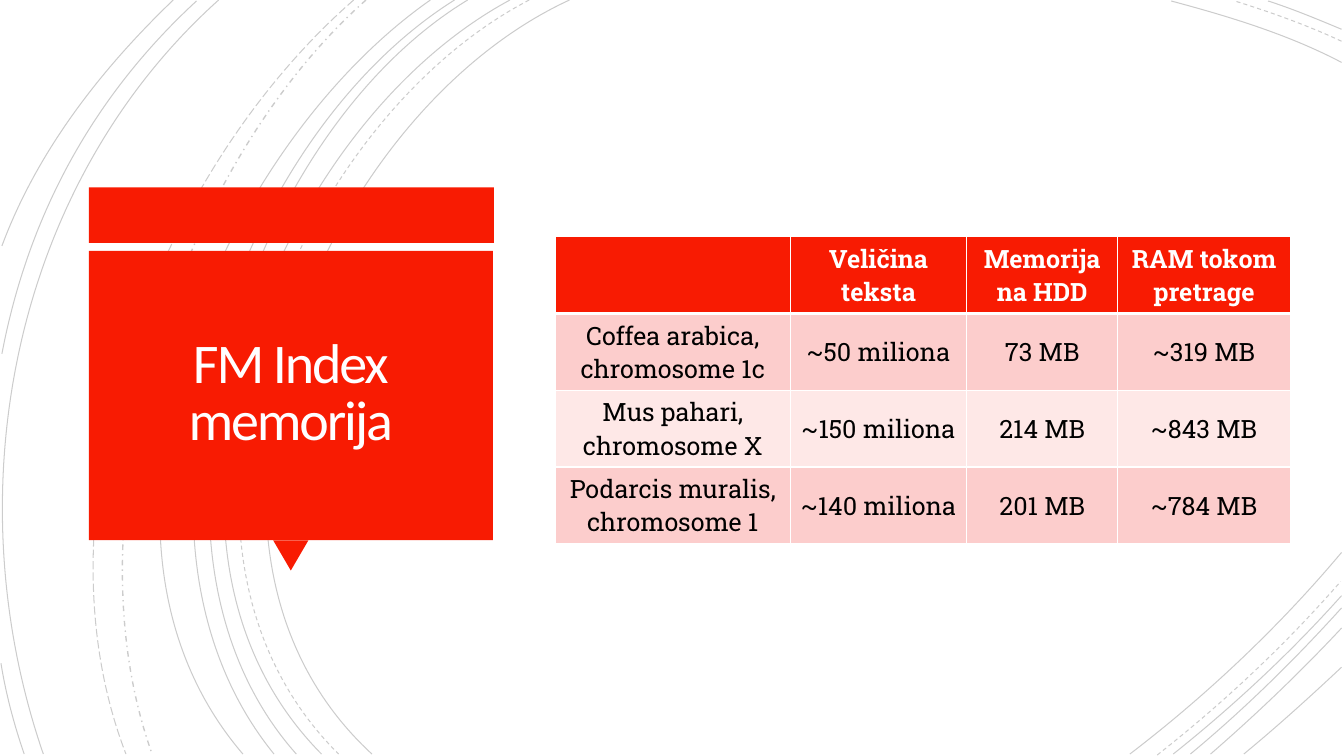
import copy
import dataclasses

import pptx
import pptx.dml.color
import pptx.enum.shapes
import pptx.enum.text
import pptx.oxml
import pptx.oxml.ns
import pptx.util

Pt = pptx.util.Pt
Shape = pptx.enum.shapes.MSO_SHAPE
Anchor = pptx.enum.text.MSO_ANCHOR
qn = pptx.oxml.ns.qn

RED, PINK, PALE = "F81B02", "FCCDCC", "FEE8E7"
WHITE, BLACK = "FFFFFF", "000000"


@dataclasses.dataclass
class Curve:
    """Cubic arc: start, two control points and end, in points."""
    pts: tuple
    dash: str = "solid"
    width: float = 0.75


@dataclasses.dataclass
class Block:
    kind: int
    left: float
    top: float
    width: float
    height: float
    turn: float = 0


CURVES = [
    Curve(((406.8, 0), (226.8, 82.8), (103, 388.8), (265.7, 538.6))),
    Curve(((958.3, 44.6), (920.2, 24.5), (877, 11.5), (836.6, 0.7))),
    Curve(((807.1, 538.6), (861.8, 496.8), (913.7, 447.8), (958.3, 394.6))),
    Curve(((378, 0), (205.2, 90), (88.6, 386.6), (241.9, 538.6)), "dash"),
    Curve(((958.3, 29.5), (933.8, 18), (907.2, 8.6), (882, 0.7)), "dash"),
    Curve(((826.6, 539.3), (873.4, 502.6), (918, 460.8), (957.6, 415.4)), "dash"),
    Curve(((364.3, 0), (194.4, 91.4), (79.2, 386.6), (229.7, 538.6))),
    Curve(((958.3, 20.9), (941, 13.7), (923.8, 6.5), (905.8, 0.7))),
    Curve(((838.1, 538.6), (880.6, 504.7), (921.6, 466.6), (958.3, 425.5))),
    Curve(((334.1, 0), (175.7, 95.8), (79.2, 389.5), (211.7, 538.6))),
    Curve(((850.3, 538.6), (888.5, 506.9), (924.5, 471.6), (958.3, 434.2))),
    Curve(((324.7, 0), (166.3, 99.4), (69.8, 383.8), (195.8, 538.6))),
    Curve(((864.7, 538.6), (897.1, 510.5), (928.8, 480.2), (958.3, 448.6))),
    Curve(((307.4, 0), (156.2, 105.8), (38.2, 380.9), (173.5, 538.6))),
    Curve(((888.5, 538.6), (912.2, 519.1), (935.3, 498.2), (958.3, 476.6))),
    Curve(((261.4, 0), (126.7, 119.5), (46.8, 366.5), (108.7, 538.6)), "dashDot", 1),
    Curve(((252.7, 0), (113, 121.7), (20.9, 359.3), (90, 538.6)), "lgDash"),
    Curve(((156.2, 0), (7.9, 133.2), (-33.1, 352.8), (31, 538.6))),
    Curve(((140.4, 0.7), (66.2, 69.1), (20.2, 154.1), (1.4, 252.7))),
    Curve(((0.7, 473.8), (4.3, 496.1), (10.1, 517.7), (17.3, 538.6))),
    Curve(((123.8, 0), (72, 49.7), (26.6, 108), (1.4, 175.7))),
]

BLOCKS = [
    Block(Shape.RECTANGLE, 63.4, 133.9, 289.4, 39.6),
    Block(Shape.ISOSCELES_TRIANGLE, 195.1, 385.9, 25.2, 21.6, 180),
    Block(Shape.RECTANGLE, 63.4, 179.3, 288.7, 206.6),
]

COLS = (167.8, 126, 108, 123.1)
ROWS = [
    ("", "Veličina teksta", "Memorija na HDD", "RAM tokom pretrage"),
    ("Coffea arabica, chromosome 1c", "~50 miliona", "73 MB", "~319 MB"),
    ("Mus pahari, chromosome X", "~150 miliona", "214 MB", "~843 MB"),
    ("Podarcis muralis, chromosome 1", "~140 miliona", "201 MB", "~784 MB"),
]
ROW_H = 50.4


def paint(color, value: str) -> None:
    """Set a fill or font colour format from a hex string."""
    color.rgb = pptx.dml.color.RGBColor.from_string(value)


def write(frame, text: str, *, size: float, face: str, color: str,
          bold: bool = False, lead: float = 1.0, track: int = 0) -> None:
    """Fill a text frame with one centred paragraph; track is in 1/100 pt."""
    par = frame.paragraphs[0]
    par.text = text
    par.alignment = pptx.enum.text.PP_ALIGN.CENTER
    par.line_spacing = lead
    for run in par.runs:
        font = run.font
        font.size, font.name, font.bold = Pt(size), face, bold
        paint(font.color, color)
        props = run.font._element
        if track:
            props.set("spc", str(track))
        for gap in par._p.findall(qn("a:br")):
            if not len(gap):
                gap.append(copy.deepcopy(props))


def trace(shapes, curve: Curve) -> None:
    """Draw a cubic arc as a fine open outline."""
    start, *rest = [(Pt(x), Pt(y)) for x, y in curve.pts]
    pen = shapes.build_freeform(*start)
    pen.add_line_segments(rest, close=False)
    arc = pen.convert_to_shape()
    route = arc.element.find(".//" + qn("a:path"))
    bend = route.makeelement(qn("a:cubicBezTo"), {})
    for leg in route.findall(qn("a:lnTo")):
        bend.append(leg[0])
        route.remove(leg)
    route.append(bend)
    arc.shadow.inherit = False
    arc.fill.background()
    arc.line.width = Pt(curve.width)
    paint(arc.line.color, BLACK)
    line = arc.line._ln
    tint = line.find(".//" + qn("a:srgbClr"))
    tint.append(tint.makeelement(qn("a:alpha"), {"val": "20000"}))
    line.append(line.makeelement(qn("a:prstDash"), {"val": curve.dash}))


def place(shapes, block: Block) -> None:
    """Add a plain red preset shape."""
    box = shapes.add_shape(block.kind, Pt(block.left), Pt(block.top),
                           Pt(block.width), Pt(block.height))
    box.rotation = block.turn
    box.shadow.inherit = False
    box.fill.solid()
    paint(box.fill.fore_color, RED)
    box.line.fill.background()


def edge(cell, side: str, width: float) -> None:
    """Add a white cell border; sides must come in the order L, R, T, B."""
    cell._tc.get_or_add_tcPr().append(pptx.oxml.parse_xml(
        f'<a:ln{side} xmlns:a="http://schemas.openxmlformats.org/drawingml/2006/main"'
        f' w="{Pt(width)}"><a:solidFill><a:srgbClr val="{WHITE}"/></a:solidFill>'
        f'</a:ln{side}>'))


def tabulate(shapes) -> None:
    grid = shapes.add_table(len(ROWS), len(COLS), Pt(396.7), Pt(169.2),
                            Pt(sum(COLS)), Pt(ROW_H * len(ROWS))).table
    for col, width in zip(grid.columns, COLS):
        col.width = Pt(width)
    for r, row in enumerate(ROWS):
        grid.rows[r].height = Pt(ROW_H)
        head = r == 0
        for c, text in enumerate(row):
            cell = grid.cell(r, c)
            cell.vertical_anchor = Anchor.MIDDLE
            for side in "LRTB":
                thick = (head and side == "B") or (r == 1 and side == "T")
                edge(cell, side, 3 if thick else 1)
            cell.fill.solid()
            paint(cell.fill.fore_color, RED if head else PINK if r % 2 else PALE)
            if text:
                write(cell.text_frame, text, size=18, face="Roboto Slab",
                      color=WHITE if head else BLACK, bold=head)


def entitle(shapes) -> None:
    """Set the title and bring it in front of the red blocks."""
    title = shapes.title
    title.left, title.top = Pt(69.8), Pt(185)
    title.width, title.height = Pt(275.8), Pt(193.7)
    frame = title.text_frame
    frame.word_wrap = True
    frame.auto_size = pptx.enum.text.MSO_AUTO_SIZE.NONE
    frame.vertical_anchor = Anchor.MIDDLE
    frame.margin_left = frame.margin_right = Pt(18)
    frame.margin_top = frame.margin_bottom = Pt(18)
    write(frame, "FM Index\vmemorija", size=40, face="Calibri",
          color="FFFEFF", lead=0.85, track=-150)
    shapes.element.append(title.element)


def main() -> None:
    deck = pptx.Presentation()
    deck.slide_width, deck.slide_height = Pt(960), Pt(540)
    shapes = deck.slides.add_slide(deck.slide_layouts[5]).shapes
    for curve in CURVES:
        trace(shapes, curve)
    for block in BLOCKS:
        place(shapes, block)
    entitle(shapes)
    tabulate(shapes)
    deck.save("out.pptx")


if __name__ == "__main__":
    main()
